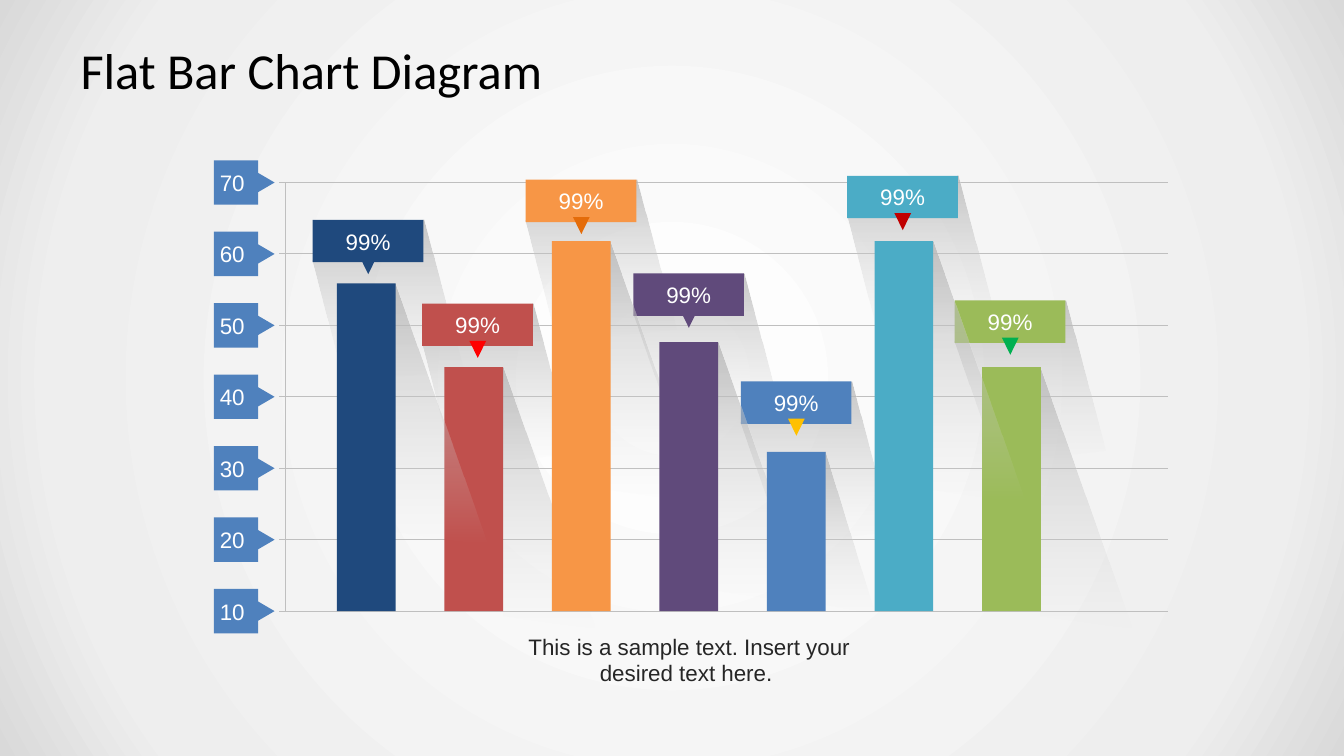
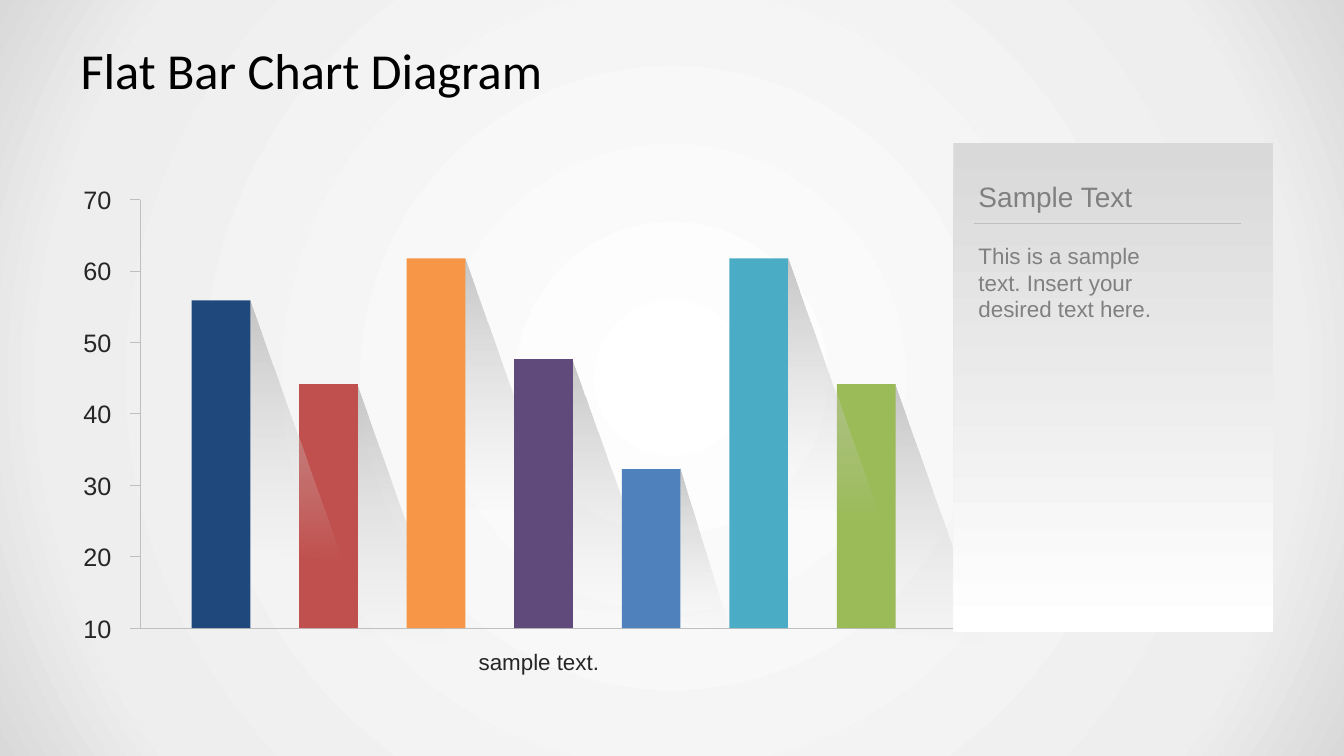
from collections import namedtuple

from lxml.etree import SubElement
from pptx import Presentation
from pptx.dml.color import RGBColor
from pptx.enum.shapes import MSO_CONNECTOR, MSO_SHAPE
from pptx.enum.text import MSO_ANCHOR, PP_ALIGN
from pptx.oxml.ns import qn
from pptx.util import Cm, Pt

COLORS = {
    "navy": "1F497D", "red": "C0504D", "orange": "F79646", "purple": "604A7B",
    "blue": "4F81BD", "teal": "4BACC6", "green": "9BBB59",
    "bright red": "FF0000", "dark orange": "E46C0A", "gold": "FFC000",
    "dark red": "C00000", "bright green": "00B050",
    "black": "000000", "ink": "262626", "grey": "808080", "rule": "BFBFBF",
    "white": "FFFFFF", "mist": "EEEEEE", "silver": "D9D9D9", "shade": "B7B7B7",
}
BACKDROP = [(0, "white", 100), (81, "mist", 100), (100, "silver", 100)]
SHADOW = [(0, "shade", 77), (100, "silver", 0)]
PANEL = [(0, "silver", 100), (100, "white", 100)]

Box = namedtuple("Box", "x y w h")
Bar = namedtuple("Bar", "color height reach drop")
Callout = namedtuple("Callout", "pointer shift lift foot")

BARS = [
    Bar("navy", 8.26, 2.32, 6.58),
    Bar("red", 6.15, 2.32, 6.58),
    Bar("orange", 9.32, 2.32, 6.58),
    Bar("purple", 6.78, 2.32, 6.58),
    Bar("blue", 4.01, 1.24, 4.04),
    Bar("teal", 9.32, 2.32, 6.58),
    Bar("green", 6.15, 2.32, 6.58),
]
STACKING = [1, 6, 0, 2, 3, 4, 5]
CALLOUTS = [
    Callout("navy", -0.61, 1.6, 0.8),
    Callout("bright red", -0.56, 1.6, 0.8),
    Callout("dark orange", -0.66, 1.55, 0.8),
    Callout("purple", -0.66, 1.73, 1.07),
    Callout("gold", -0.66, 1.78, 1.07),
    Callout("dark red", -0.69, 1.65, 0.8),
    Callout("bright green", -0.69, 1.68, 1.07),
]
BAR_START, BAR_PITCH, BAR_WIDTH = 1.3, 2.71, 1.48
LEVELS = range(10, 80, 10)


def rgb(color):
    """Return the named colour."""
    return RGBColor.from_string(COLORS[color])


def paint_gradient(fill, holder, stops, circular=False):
    """Give the fill inside holder the stops, downward or from the centre."""
    fill.gradient()
    gradient = next(holder.iter(qn("a:gradFill")))
    gradient.clear()
    stop_list = SubElement(gradient, qn("a:gsLst"))
    for position, color, opacity in stops:
        stop = SubElement(stop_list, qn("a:gs"), pos=str(position * 1000))
        tone = SubElement(stop, qn("a:srgbClr"), val=COLORS[color])
        if opacity < 100:
            SubElement(tone, qn("a:alpha"), val=str(opacity * 1000))
    if circular:
        path = SubElement(gradient, qn("a:path"), path="circle")
        SubElement(path, qn("a:fillToRect"), l="50000", t="50000", r="50000", b="50000")
    else:
        SubElement(gradient, qn("a:lin"), ang="5400000", scaled="0")


def write(frame, text, size, color, align=PP_ALIGN.LEFT, font="Arial"):
    """Put one run of text into a frame."""
    paragraph = frame.paragraphs[0]
    paragraph.alignment = align
    run = paragraph.add_run()
    run.text = text
    run.font.size = Pt(size)
    run.font.name = font
    run.font.color.rgb = rgb(color)


def add_text(slide, box, text, size, color, wrap=True, **style):
    """Add a text box and return its frame."""
    frame = slide.shapes.add_textbox(*map(Cm, box)).text_frame
    frame.word_wrap = wrap
    write(frame, text, size, color, **style)
    return frame


def add_block(slide, box, color=None, kind=MSO_SHAPE.RECTANGLE, turn=0):
    """Add a flat preset shape without outline."""
    block = slide.shapes.add_shape(kind, *map(Cm, box))
    block.shadow.inherit = False
    block.line.fill.background()
    block.rotation = turn
    if color:
        block.fill.solid()
        block.fill.fore_color.rgb = rgb(color)
    return block


def add_rule(slide, x1, y1, x2, y2):
    """Add a thin grey line."""
    rule = slide.shapes.add_connector(MSO_CONNECTOR.STRAIGHT, *map(Cm, (x1, y1, x2, y2)))
    rule.line.color.rgb = rgb("rule")
    rule.line.width = Pt(0.75)
    SubElement(rule.element.spPr, qn("a:effectLst"))


def add_shadow(slide, x, y, offsets):
    """Add a fading long shadow whose corners are offsets from a point."""
    corners = [(Cm(x + dx), Cm(y + dy)) for dx, dy in offsets]
    outline = slide.shapes.build_freeform(*corners[0])
    outline.add_line_segments(corners[1:], close=True)
    shadow = outline.convert_to_shape()
    shadow.shadow.inherit = False
    shadow.line.fill.background()
    paint_gradient(shadow.fill, shadow.element.spPr, SHADOW)


def level_y(plot, level):
    """Return the height on the slide of an axis value."""
    return plot.y + plot.h * (LEVELS[-1] - level) / (LEVELS[-1] - LEVELS[0])


def bar_corner(plot, index):
    """Return the top left corner of a bar."""
    return plot.x + BAR_START + index * BAR_PITCH, plot.y + plot.h - BARS[index].height


def add_axes(slide, plot, rule_start, rule_end):
    """Draw a rule at each level and the two axes of the plot."""
    for level in LEVELS:
        y = level_y(plot, level)
        add_rule(slide, plot.x + rule_start, y, plot.x + rule_end, y)
    bottom = plot.y + plot.h
    add_rule(slide, plot.x, plot.y, plot.x, bottom)
    add_rule(slide, plot.x, bottom, plot.x + plot.w, bottom)


def add_bars(slide, plot):
    """Draw the seven bars, each above its own shadow."""
    for index in STACKING:
        bar = BARS[index]
        x, y = bar_corner(plot, index)
        add_shadow(slide, x + BAR_WIDTH, y, [(0, 0), (0, bar.drop * 0.95), (bar.reach, bar.drop)])
        add_block(slide, Box(x, y, BAR_WIDTH, bar.height), bar.color)


def add_level_tags(slide, plot):
    """Label the levels with blue tags that point at the plot."""
    for level in LEVELS:
        y = level_y(plot, level)
        add_block(slide, Box(plot.x - 0.79, y - 0.24, 0.56, 0.48), "blue",
                  MSO_SHAPE.ISOSCELES_TRIANGLE, 90)
        tag = add_block(slide, Box(plot.x - 1.8, y - 0.56, 1.12, 1.12), "blue")
        frame = tag.text_frame
        frame.margin_left, frame.margin_right = Cm(0.15), Cm(0)
        frame.vertical_anchor = MSO_ANCHOR.MIDDLE
        frame.word_wrap = False
        write(frame, str(level), 16, "white")


def add_level_numbers(slide, plot):
    """Label the levels with plain numbers."""
    for level in LEVELS:
        box = Box(plot.x - 1.68, level_y(plot, level) - 0.51, 1.22, 1.02)
        add_text(slide, box, str(level), 18, "ink", wrap=False)


def add_callouts(slide, plot):
    """Place a percentage callout with a pointer above each bar."""
    for index, callout in enumerate(CALLOUTS):
        bar_x, bar_y = bar_corner(plot, index)
        x, y = bar_x + callout.shift, bar_y - callout.lift
        add_shadow(slide, x, y, [(2.79, 0), (3.79, 3.77), (callout.foot, 4.08), (0, 1.03)])
        plate = add_block(slide, Box(x, y, 2.79, 1.07), BARS[index].color)
        plate.text_frame.vertical_anchor = MSO_ANCHOR.MIDDLE
        write(plate.text_frame, "99%", 16, "white", PP_ALIGN.CENTER)
        add_block(slide, Box(x + 1.19, y + 0.94, 0.42, 0.43), callout.pointer,
                  MSO_SHAPE.ISOSCELES_TRIANGLE, 180)


def add_panel(slide, panel):
    """Draw the side panel with its heading, rule and body."""
    backing = add_block(slide, panel)
    paint_gradient(backing.fill, backing.element.spPr, PANEL)
    add_text(slide, Box(panel.x + 0.38, panel.y + 0.79, 4.42, 1.12),
             "Sample Text", 20, "grey", wrap=False)
    add_rule(slide, panel.x + 0.51, panel.y + 2.03, panel.x + 7.24, panel.y + 2.03)
    add_text(slide, Box(panel.x + 0.38, panel.y + 2.36, 5.49, 2.31),
             "This is a sample text. Insert your desired text here. ", 16, "grey")


def add_titled_slide(deck, title):
    """Add a blank slide with the shared title."""
    slide = deck.slides.add_slide(deck.slide_layouts[6])
    frame = add_text(slide, Box(1.7, 0.76, 30.48, 1.98), title, 36, "black", font="Calibri")
    frame.vertical_anchor = MSO_ANCHOR.MIDDLE
    frame.margin_left = frame.margin_right = Cm(0.33)
    frame.margin_top = frame.margin_bottom = Cm(0.18)
    return slide


def build_callout_slide(deck, plot):
    """Build the bar diagram with gridlines, tags and callouts."""
    slide = add_titled_slide(deck, "Flat Bar Chart Diagram")
    add_text(slide, Box(plot.x + 5, plot.y + plot.h + 0.42, 10.36, 1.63),
             "This is a sample text. Insert your desired text here. ", 16, "ink",
             align=PP_ALIGN.CENTER)
    add_axes(slide, plot, -0.15, 22.25)
    add_level_tags(slide, plot)
    add_callouts(slide, plot)
    add_bars(slide, plot)


def build_panel_slide(deck, plot, panel):
    """Build the bar diagram with ticks and a side panel."""
    slide = add_titled_slide(deck, "Flat Bar Chart Diagram")
    add_axes(slide, plot, -0.25, 0)
    add_bars(slide, plot)
    add_level_numbers(slide, plot)
    add_text(slide, Box(plot.x + 4.95, plot.y + plot.h + 0.38, 10.36, 0.94),
             "sample text. ", 16, "ink", align=PP_ALIGN.CENTER)
    add_panel(slide, panel)


def main():
    """Build and save the deck."""
    deck = Presentation()
    deck.slide_width, deck.slide_height = Cm(33.87), Cm(19.05)
    master = deck.slide_master
    paint_gradient(master.background.fill, master.element.cSld, BACKDROP, circular=True)
    build_callout_slide(deck, Box(7.19, 4.6, 22.02, 10.8))
    build_panel_slide(deck, Box(3.53, 5.03, 20.62, 10.8), Box(24.03, 3.61, 8.05, 12.32))
    deck.save("out.pptx")


main()
